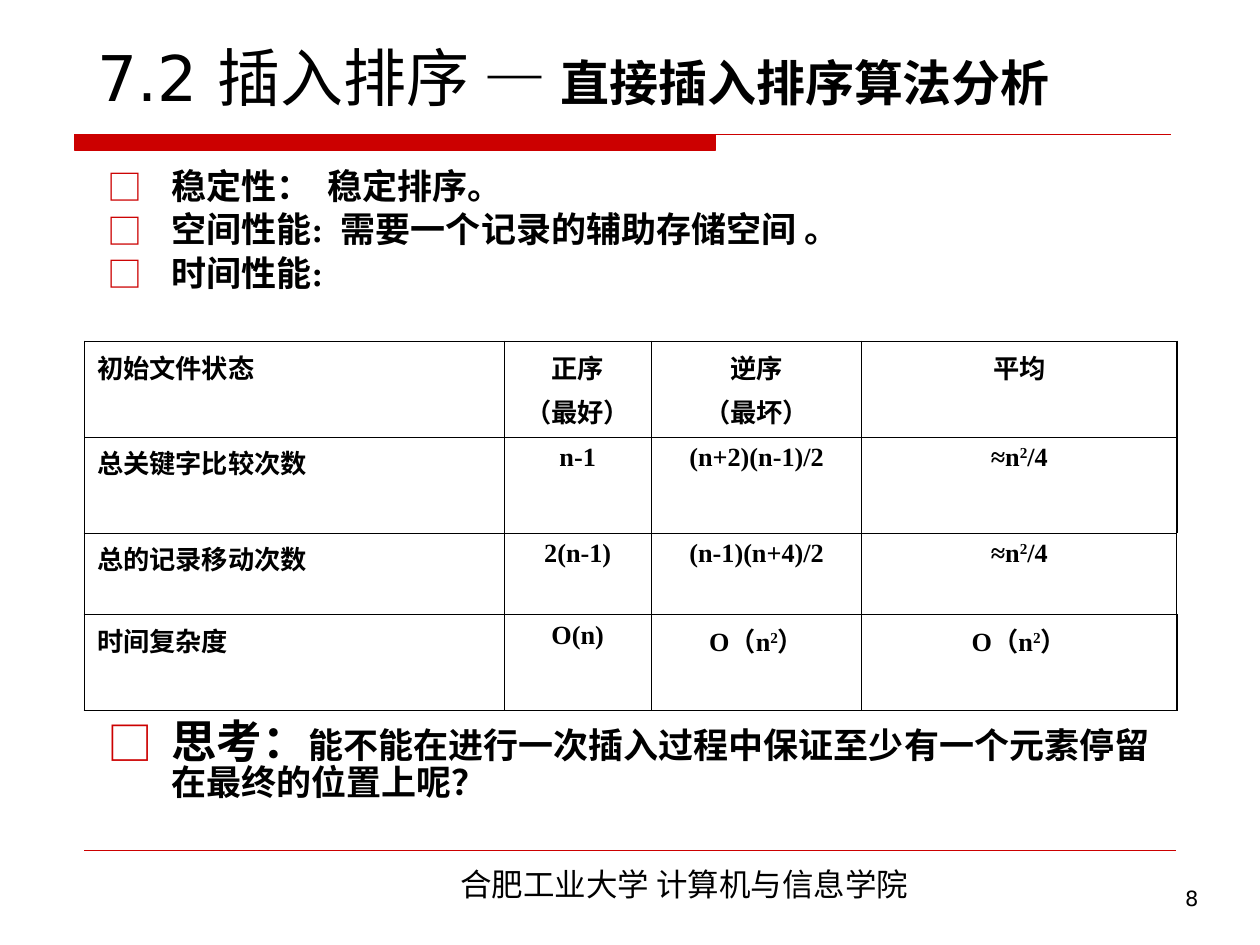
from lxml.etree import SubElement
from pptx import Presentation
from pptx.dml.color import RGBColor
from pptx.enum.shapes import MSO_CONNECTOR as Connector
from pptx.enum.text import MSO_ANCHOR as Anchor, MSO_AUTO_SIZE as AutoSize, PP_ALIGN as Align
from pptx.oxml.ns import qn
from pptx.util import Inches, Pt

RED, BLACK = "CC0000", "000000"
SANS, CJK, SERIF = "DejaVu Sans", "Noto Sans CJK SC", "Times New Roman"


def color(hex_value):
    return RGBColor.from_string(hex_value)


def add_text(paragraph, text, size, font, bold=False):
    """Add text as runs, raising each ² as a superscript 2."""
    for index, part in enumerate(text.replace("²", "|2|").split("|")):
        if not part:
            continue
        run = paragraph.add_run()
        run.text = part
        for name, value in {"size": Pt(size), "name": font, "bold": bold}.items():
            setattr(run.font, name, value)
        run.font.color.rgb = color(BLACK)
        properties = run._r.get_or_add_rPr()
        SubElement(properties, qn("a:ea")).set("typeface", CJK)
        if index % 2:
            properties.set("baseline", "30000")


presentation = Presentation()
presentation.slide_width, presentation.slide_height = Inches(10), Inches(7.5)
slide = presentation.slides.add_slide(presentation.slide_layouts[1])
shapes = slide.shapes

# Red bar with a thin line running on to the right
builder = shapes.build_freeform(Inches(0.59), Inches(1.07))
builder.add_line_segments(
    [(Inches(x), Inches(y)) for x, y in [(5.68, 1.07), (5.68, 1.19), (0.59, 1.19)]])
builder.move_to(Inches(0.59), Inches(1.07))
builder.add_line_segments([(Inches(9.29), Inches(1.07))], close=False)
bar = builder.convert_to_shape()
bar.shadow.inherit = False
bar.fill.solid()
bar.fill.fore_color.rgb = bar.line.color.rgb = color(RED)
bar.line.width = Pt(0.75)

footer_line = shapes.add_connector(
    Connector.STRAIGHT, Inches(0.67), Inches(6.75), Inches(9.33), Inches(6.75))
footer_line.line.color.rgb = color(RED)
footer_line.line.width = Pt(0.25)
SubElement(footer_line._element.spPr, qn("a:effectLst"))

# Footer and page number
for text, box, size, font, align, before in [
    ("合肥工业大学 计算机与信息学院", (2.4, 6.82, 6.06, 0.4), 18, CJK, Align.CENTER, 11.2),
    ("8", (7.44, 6.98, 2.17, 0.52), 12, SANS, Align.RIGHT, 0),
]:
    frame = shapes.add_textbox(*map(Inches, box)).text_frame
    frame.word_wrap = True
    paragraph = frame.paragraphs[0]
    paragraph.alignment, paragraph.space_before = align, Pt(before)
    add_text(paragraph, text, size, font)

# Title and list
title, body = shapes.title, slide.placeholders[1]
for placeholder, box, anchor in [
    (title, (0.67, 0.21, 8.5, 0.75), Anchor.BOTTOM),
    (body, (0.75, 1.31, 8.5, 5.5), Anchor.TOP),
]:
    placeholder.left, placeholder.top, placeholder.width, placeholder.height = map(Inches, box)
    placeholder.text_frame.auto_size = AutoSize.NONE
    placeholder.text_frame.vertical_anchor = anchor

heading = title.text_frame.paragraphs[0]
heading.alignment = Align.LEFT
add_text(heading, "7.2 插入排序 — ", 36, SANS)
add_text(heading, "直接插入排序算法分析", 28, SERIF, True)

# The last item stands below the table
items = [
    (5, [("稳定性：  稳定排序。", 20, CJK)]),
    (5, [("空间性能:  ", 20, SERIF), ("需要一个记录的辅助存储空间", 20, CJK), (" 。", 20, SERIF)]),
    (5, [("时间性能:", 20, SERIF)]),
    (245, [("思考：", 26, SERIF),
           ("能不能在进行一次插入过程中保证至少有一个元素停留在最终的位置上呢？", 20, SERIF)]),
]
for index, (before, runs) in enumerate(items):
    frame = body.text_frame
    paragraph = frame.add_paragraph() if index else frame.paragraphs[0]
    paragraph.space_before, paragraph.line_spacing = Pt(before), 0.83
    properties = paragraph._p.get_or_add_pPr()
    properties.set("marL", str(Inches(0.51)))
    properties.set("indent", str(-Inches(0.51)))
    SubElement(SubElement(properties, qn("a:buClr")), qn("a:srgbClr")).set("val", RED)
    SubElement(properties, qn("a:buFont")).set("typeface", CJK)
    SubElement(properties, qn("a:buChar")).set("char", "□")
    for text, size, font in runs:
        add_text(paragraph, text, size, font, True)

# Comparison table
rows = [
    ["初始文件状态", "正序\n（最好）", "逆序\n（最坏）", "平均"],
    ["总关键字比较次数", "n-1", "(n+2)(n-1)/2", "≈n²/4"],
    ["总的记录移动次数", "2(n-1)", "(n-1)(n+4)/2", "≈n²/4"],
    ["时间复杂度", "O(n)", "O（n²）", "O（n²）"],
]
widths, heights = [3.33, 1.17, 1.67, 2.5], [0.76, 0.76, 0.65, 0.76]
table = shapes.add_table(4, 4, Inches(0.67), Inches(2.71),
                         Inches(sum(widths)), Inches(sum(heights))).table
table.first_row = table.horz_banding = False
for column, width in zip(table.columns, widths):
    column.width = Inches(width)
for r, (row, height) in enumerate(zip(rows, heights)):
    table.rows[r].height = Inches(height)
    for c, text in enumerate(row):
        cell = table.cell(r, c)
        for index, line in enumerate(text.split("\n")):
            frame = cell.text_frame
            paragraph = frame.add_paragraph() if index else frame.paragraphs[0]
            paragraph.alignment = Align.CENTER if c else Align.LEFT
            paragraph.space_before = Pt(3.7)
            add_text(paragraph, line, 15, SERIF, True)
        properties = cell._tc.get_or_add_tcPr()
        # Outer edges are thick, but for the first row's left and the third row's right
        thick = {"L": c == 0 and r > 0, "R": c == 3 and r != 2, "T": r == 0, "B": r == 3}
        for side, is_thick in thick.items():
            border = SubElement(properties, qn(f"a:ln{side}"), w=str(Pt(1.08 if is_thick else 0.45)))
            SubElement(SubElement(border, qn("a:solidFill")), qn("a:srgbClr")).set("val", BLACK)
        cell.fill.background()

presentation.save("out.pptx")
